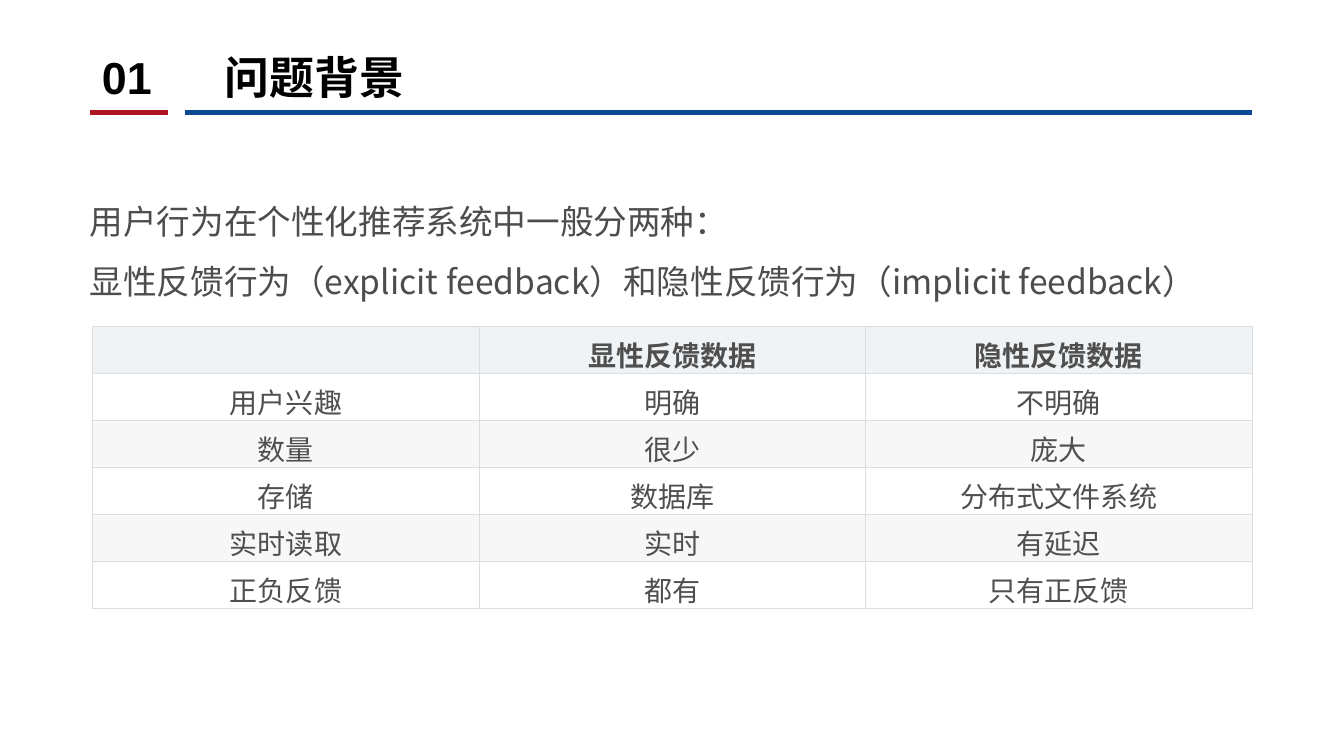
from lxml import etree
from pptx import Presentation
from pptx.dml.color import RGBColor
from pptx.enum.shapes import MSO_CONNECTOR
from pptx.enum.text import MSO_ANCHOR, MSO_AUTO_SIZE, PP_ALIGN
from pptx.oxml.ns import qn
from pptx.util import Inches, Pt

COLORS = {
    "red": "AE1324",
    "blue": "0C4994",
    "title": "000000",
    "body": "4D4D4D",
    "cell": "4F4F4F",
    "header": "EFF3F5",
    "odd": "FFFFFF",
    "even": "F7F7F7",
    "border": "DDDDDD",
}
LATIN, CJK = "Arial", "Noto Sans CJK SC"

NUMBER, TITLE = "01", "问题背景"
INTRO = [
    "用户行为在个性化推荐系统中一般分两种：",
    "显性反馈行为（explicit feedback）和隐性反馈行为（implicit feedback）",
]
FEEDBACK = [
    ["", "显性反馈数据", "隐性反馈数据"],
    ["用户兴趣", "明确", "不明确"],
    ["数量", "很少", "庞大"],
    ["存储", "数据库", "分布式文件系统"],
    ["实时读取", "实时", "有延迟"],
    ["正负反馈", "都有", "只有正反馈"],
]


def rgb(name):
    return RGBColor.from_string(COLORS[name])


def add_run(paragraph, text, size, color, font=LATIN, bold=False):
    run = paragraph.add_run()
    run.text = text
    run.font.size = Pt(size)
    run.font.bold = bold
    run.font.name = font
    run.font.color.rgb = rgb(color)
    etree.SubElement(run.font._element, qn("a:ea"), typeface=CJK)


def add_rule(slide, left, right, y, color):
    rule = slide.shapes.add_connector(
        MSO_CONNECTOR.STRAIGHT, Inches(left), Inches(y), Inches(right), Inches(y))
    rule.line.color.rgb = rgb(color)
    rule.line.width = Pt(3.5)
    etree.SubElement(rule._element.spPr, qn("a:effectLst"))


def add_heading(slide, left, top, width, height):
    rule_y = top + 0.62
    add_rule(slide, left + 0.1, left + 0.88, rule_y, "red")
    add_rule(slide, left + 1.05, left + width + 0.13, rule_y, "blue")

    heading = slide.shapes.title
    heading.left, heading.top = Inches(left), Inches(top)
    heading.width, heading.height = Inches(width), Inches(height)
    frame = heading.text_frame
    frame.word_wrap = True
    frame.auto_size = MSO_AUTO_SIZE.NONE
    frame.vertical_anchor = MSO_ANCHOR.TOP
    frame.margin_left = Inches(0.22)
    paragraph = frame.paragraphs[0]
    paragraph.alignment = PP_ALIGN.LEFT
    paragraph.line_spacing = 0.9
    paragraph.space_before = Pt(10)
    tabs = etree.SubElement(paragraph._p.get_or_add_pPr(), qn("a:tabLst"))
    etree.SubElement(tabs, qn("a:tab"), pos=str(Inches(1.22)), algn="l")
    add_run(paragraph, f"{NUMBER}\t{TITLE}", 32, "title", bold=True)


def add_intro(slide, left, top, width, height):
    frame = slide.shapes.add_textbox(
        Inches(left), Inches(top), Inches(width), Inches(height)).text_frame
    frame.word_wrap = True
    for index, sentence in enumerate(INTRO):
        paragraph = frame.add_paragraph() if index else frame.paragraphs[0]
        paragraph.line_spacing = 1.5
        add_run(paragraph, sentence, 24, "body", font=CJK)


def set_borders(cell):
    properties = cell._tc.get_or_add_tcPr()
    for index, side in enumerate(("lnL", "lnR", "lnT", "lnB")):
        line = etree.Element(qn(f"a:{side}"), w=str(Pt(0.6)))
        fill = etree.SubElement(line, qn("a:solidFill"))
        etree.SubElement(fill, qn("a:srgbClr"), val=COLORS["border"])
        properties.insert(index, line)


def add_feedback_table(slide, left, top, width, height):
    table = slide.shapes.add_table(
        len(FEEDBACK), len(FEEDBACK[0]),
        Inches(left), Inches(top), Inches(width), Inches(height)).table
    for row, texts in enumerate(FEEDBACK):
        shade = "header" if row == 0 else "odd" if row % 2 else "even"
        for column, text in enumerate(texts):
            cell = table.cell(row, column)
            cell.fill.solid()
            cell.fill.fore_color.rgb = rgb(shade)
            set_borders(cell)
            cell.vertical_anchor = MSO_ANCHOR.MIDDLE
            cell.margin_left = cell.margin_right = cell.margin_top = Inches(0.07)
            cell.margin_bottom = 0
            paragraph = cell.text_frame.paragraphs[0]
            paragraph.alignment = PP_ALIGN.CENTER
            if text:
                add_run(paragraph, text, 20, "cell", bold=row == 0)


def main():
    deck = Presentation()
    deck.slide_width, deck.slide_height = Inches(13.33), Inches(7.5)
    slide = deck.slides.add_slide(deck.slide_layouts[5])
    add_heading(slide, 0.79, 0.5, 11.5, 0.97)
    add_intro(slide, 0.79, 1.74, 12.09, 1.24)
    add_feedback_table(slide, 0.92, 3.24, 11.5, 2.8)
    deck.save("out.pptx")


if __name__ == "__main__":
    main()
